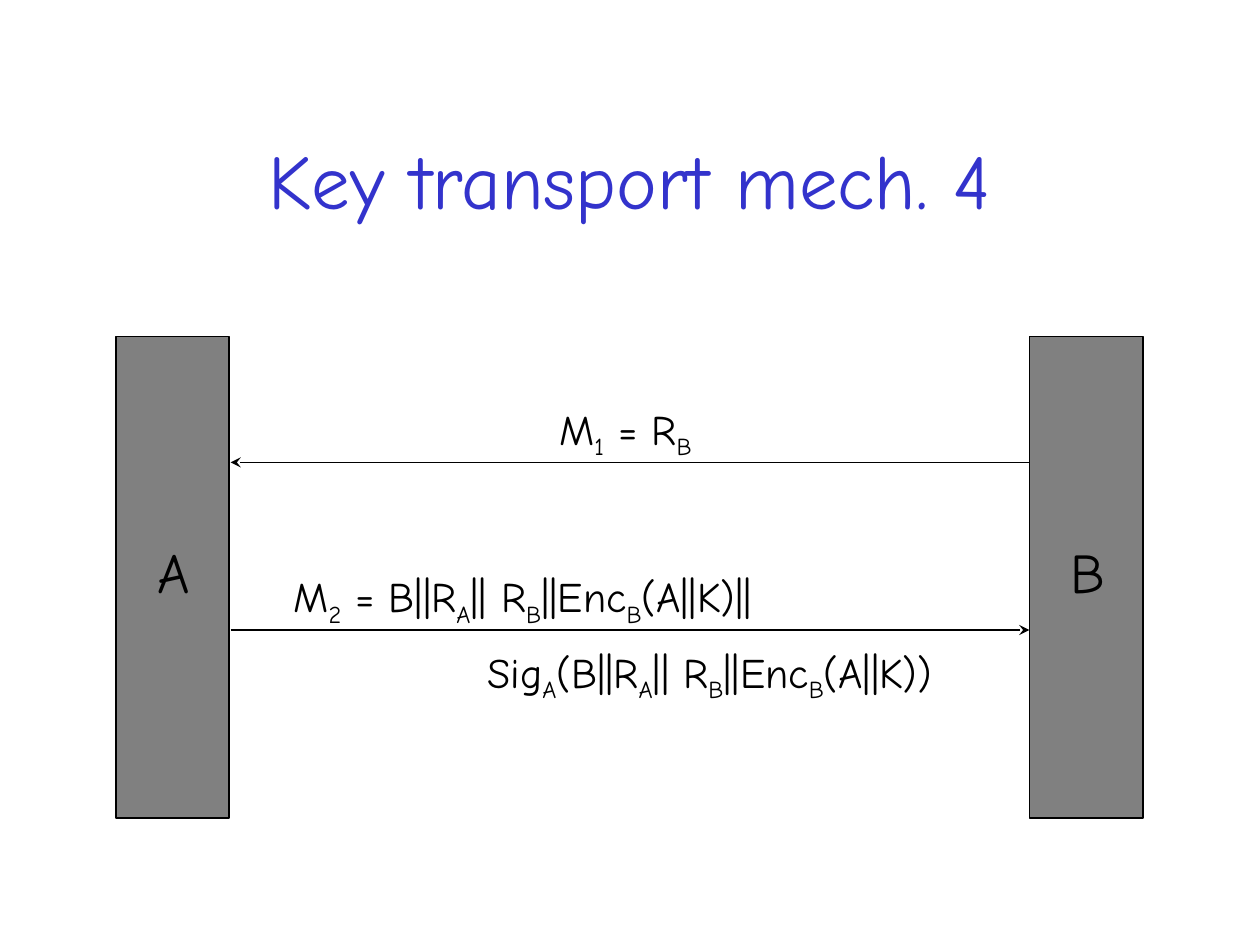
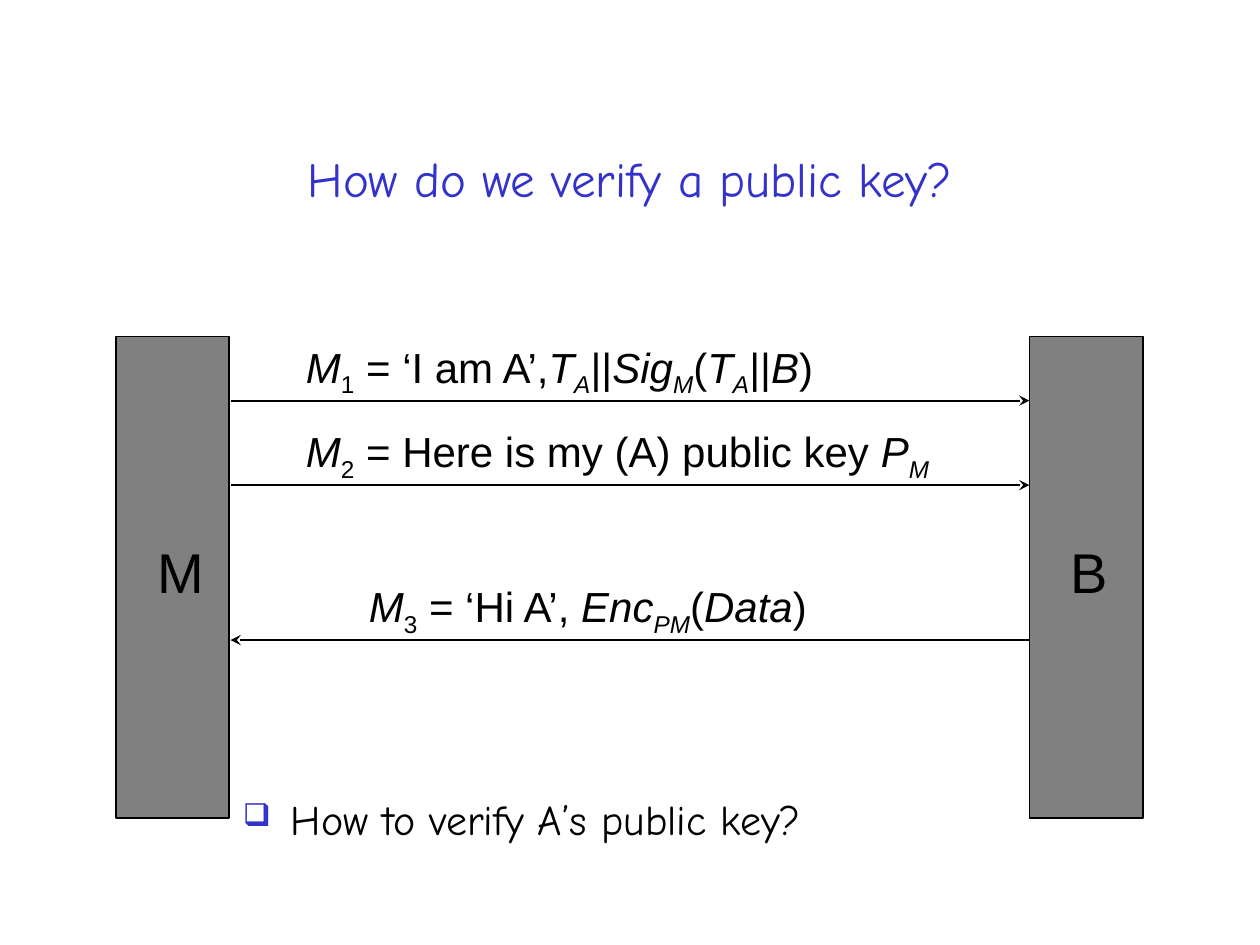
from dataclasses import dataclass

from lxml.etree import SubElement
from pptx import Presentation
from pptx.dml.color import RGBColor
from pptx.enum.shapes import MSO_CONNECTOR, MSO_SHAPE
from pptx.enum.text import MSO_ANCHOR, MSO_AUTO_SIZE, PP_ALIGN
from pptx.oxml.ns import qn
from pptx.util import Pt

PX = 9144  # EMU per px, 100 px to the inch
TITLE_ONLY = 5

# Run styles
SUB, ITALIC, ITALIC_SUB = "sub", "italic", "italic sub"


@dataclass(frozen=True)
class Theme:
    ink: RGBColor = RGBColor(0x00, 0x00, 0x00)
    paper: RGBColor = RGBColor(0xFF, 0xFF, 0xFF)
    accent: RGBColor = RGBColor(0x33, 0x33, 0xCC)
    bar: RGBColor = RGBColor(0x80, 0x80, 0x80)
    hand: str = "Comic Neue"
    sans: str = "Arial"
    title_size: int = 44
    small_title_size: int = 28
    party_size: int = 32
    text_size: int = 24
    line_width: int = 1


class Deck:
    # Geometry of the two party bars
    LEFT_BAR, RIGHT_BAR, BAR_TOP = 92, 817, 267
    BAR_W, BAR_H = 90, 382
    LEFT_END, RIGHT_END = 183, 817

    def __init__(self, theme):
        self.theme = theme
        self.prs = Presentation()
        self.prs.slide_width, self.prs.slide_height = 1000 * PX, 750 * PX
        self.slide = None

    def add_slide(self, title, size, box):
        self.slide = self.prs.slides.add_slide(self.prs.slide_layouts[TITLE_ONLY])
        sp = self.slide.shapes.title
        sp.left, sp.top, sp.width, sp.height = (v * PX for v in box)
        sp.fill.solid()
        sp.fill.fore_color.rgb = self.theme.paper
        tf = sp.text_frame
        tf.auto_size = MSO_AUTO_SIZE.NONE
        tf.vertical_anchor = MSO_ANCHOR.MIDDLE
        p = tf.paragraphs[0]
        p.alignment = PP_ALIGN.CENTER
        self.run(p, title, self.theme.hand, size, self.theme.accent)

    def run(self, p, text, font, size, color, style=""):
        r = p.add_run()
        r.text = text
        r.font.name, r.font.size = font, Pt(size)
        r.font.color.rgb = color
        r.font.italic = "italic" in style
        if "sub" in style:
            r._r.get_or_add_rPr().set("baseline", "-25000")

    def text(self, box, runs, font, size, wrap=False, grow=True):
        sp = self.slide.shapes.add_textbox(*(v * PX for v in box))
        tf = sp.text_frame
        tf.word_wrap = wrap
        tf.auto_size = MSO_AUTO_SIZE.SHAPE_TO_FIT_TEXT if grow else MSO_AUTO_SIZE.NONE
        p = tf.paragraphs[0]
        for text, *style in runs:
            self.run(p, text, font, size, self.theme.ink, *style)
        return p

    def bullet(self, box, text):
        p = self.text(box, [(text,)], self.theme.hand, self.theme.text_size,
                      wrap=True, grow=False)
        p.space_before = Pt(5)
        pPr = p._p.get_or_add_pPr()
        pPr.set("marL", str(38 * PX))
        pPr.set("indent", str(-38 * PX))
        color = SubElement(pPr, qn("a:buClr"))
        SubElement(color, qn("a:srgbClr"), val=str(self.theme.accent))
        SubElement(pPr, qn("a:buSzPct"), val="75000")
        SubElement(pPr, qn("a:buChar"), char="❑")

    def parties(self, left, left_w, right, right_w, font):
        for x in (self.LEFT_BAR, self.RIGHT_BAR):
            sp = self.slide.shapes.add_shape(
                MSO_SHAPE.RECTANGLE, x * PX, self.BAR_TOP * PX,
                self.BAR_W * PX, self.BAR_H * PX)
            sp.shadow.inherit = False
            sp.fill.solid()
            sp.fill.fore_color.rgb = self.theme.bar
            sp.line.color.rgb = self.theme.ink
            sp.line.width = Pt(self.theme.line_width)
        for x, w, name in ((115, left_w, left), (840, right_w, right)):
            self.text((x, 422, w, 64), [(name,)], font, self.theme.party_size)

    def arrow(self, y, to_right):
        ends = (self.LEFT_END, self.RIGHT_END)
        start, end = ends if to_right else ends[::-1]
        cxn = self.slide.shapes.add_connector(
            MSO_CONNECTOR.STRAIGHT, start * PX, y * PX, end * PX, y * PX)
        cxn.line.color.rgb = self.theme.ink
        cxn.line.width = Pt(self.theme.line_width)
        SubElement(cxn.line._get_or_add_ln(), qn("a:tailEnd"), type="stealth")
        SubElement(cxn._element.spPr, qn("a:effectLst"))

    def message(self, y, to_right, x, w, runs, font, wrap=False):
        """Arrow at height y with its label resting on it."""
        self.arrow(y, to_right)
        self.text((x, y - 52, w, 51), runs, font, self.theme.text_size, wrap)


def main():
    theme = Theme()
    deck = Deck(theme)

    # Slide 1: key transport
    deck.add_slide("Key transport mech. 4", theme.title_size, (84, 103, 832, 78))
    deck.parties("A", 53, "B", 49, theme.hand)
    deck.message(367, False, 434, 133,
                 [("M",), ("1", SUB), (" = R",), ("B", SUB)], theme.hand)
    payload = [("B||R",), ("A", SUB), ("|| R",), ("B", SUB),
               ("||Enc",), ("B", SUB), ("(A||K)",)]
    deck.message(500, True, 223, 487,
                 [("M",), ("2", SUB), (" = ",), *payload, ("||",)], theme.hand)
    deck.text((377, 508, 431, 91),
              [("Sig",), ("A", SUB), ("(",), *payload, (")",)],
              theme.hand, theme.text_size, wrap=True)

    # Slide 2: verifying a public key
    deck.add_slide("How do we verify a public key?", theme.small_title_size,
                   (126, 113, 748, 57))
    deck.parties("M", 58, "B", 50, theme.sans)
    stamp = [("T", ITALIC), ("A", ITALIC_SUB), ("||",)]
    deck.message(318, True, 233, 558,
                 [("M", ITALIC), ("1", SUB), (" = ‘I am A’,",), *stamp,
                  ("Sig", ITALIC), ("M", ITALIC_SUB), ("(",), *stamp,
                  ("B", ITALIC), (")",)], theme.sans, wrap=True)
    deck.message(385, True, 233, 558,
                 [("M", ITALIC), ("2", SUB), (" = Here is my (A) public key ",),
                  ("P", ITALIC), ("M", ITALIC_SUB)], theme.sans, wrap=True)
    deck.message(508, False, 283, 376,
                 [("M", ITALIC), ("3", SUB), (" = ‘Hi A’, ",), ("Enc", ITALIC),
                  ("PM", ITALIC_SUB), ("(",), ("Data", ITALIC), (")",)], theme.sans)
    deck.bullet((183, 625, 635, 58), "How to verify A’s public key?")

    deck.prs.save("out.pptx")


if __name__ == "__main__":
    main()
